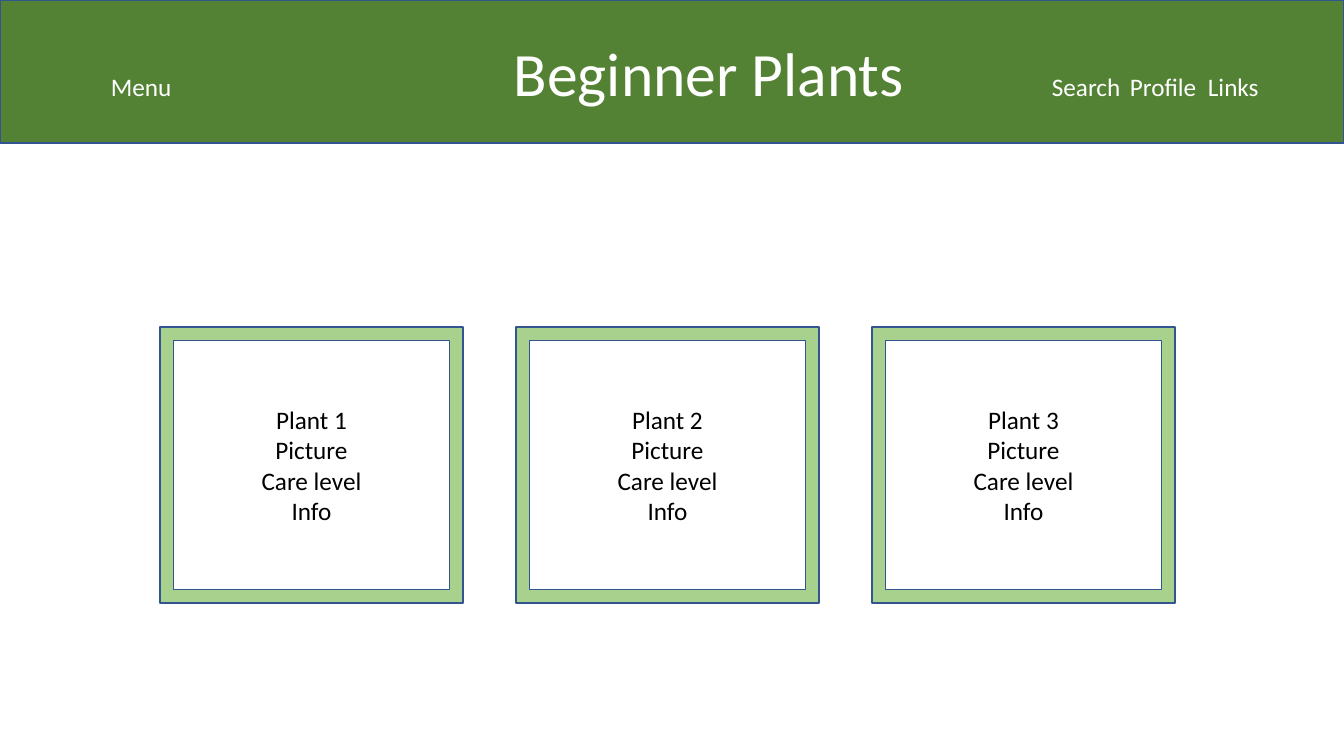
from dataclasses import dataclass

from lxml import etree
from pptx import Presentation
from pptx.dml.color import RGBColor
from pptx.enum.shapes import MSO_SHAPE
from pptx.enum.text import MSO_ANCHOR, PP_ALIGN
from pptx.oxml.ns import qn
from pptx.util import Emu, Pt

FRAME, RECT = MSO_SHAPE.FRAME, MSO_SHAPE.RECTANGLE
CENTER, JUSTIFY = PP_ALIGN.CENTER, PP_ALIGN.JUSTIFY
MIDDLE = MSO_ANCHOR.MIDDLE
SCALE = 914400 / 100.8


def px(n):
    return Emu(round(n * SCALE))


@dataclass(frozen=True)
class Theme:
    font: str = "Calibri"
    body: int = 18
    title: int = 44
    line: str = "325491"
    line_width: int = 1
    header: str = "548235"
    card: str = "A9D18E"
    light: str = "FFFFFF"
    dark: str = "000000"


class SlideBuilder:
    """Draws themed elements on the current slide, in pixel units."""

    def __init__(self, slide, theme):
        self.s, self.theme = slide, theme

    def shape(self, kind, box, fill):
        sp = self.s.shapes.add_shape(kind, *map(px, box))
        sp.shadow.inherit = False
        sp.fill.solid()
        sp.fill.fore_color.rgb = RGBColor.from_string(fill)
        sp.line.color.rgb = RGBColor.from_string(self.theme.line)
        sp.line.width = Pt(self.theme.line_width)
        sp.text_frame.word_wrap = True
        sp.text_frame.vertical_anchor = MIDDLE
        return sp

    def style(self, p, color, align):
        p.alignment = align
        p.font.name = self.theme.font
        p.font.size = Pt(self.theme.body)
        p.font.color.rgb = RGBColor.from_string(color)

    def card(self, box, lines):
        sp = self.shape(FRAME, box, self.theme.card)
        sp.adjustments[0] = 0.049
        tf = sp.text_frame
        tf.text = "\n".join(lines)
        for p in tf.paragraphs:
            self.style(p, self.theme.dark, CENTER)

    def header(self, box, items, title):
        sp = self.shape(RECT, box, self.theme.header)
        p = sp.text_frame.paragraphs[0]
        self.style(p, self.theme.light, JUSTIFY)
        tabs = etree.Element(qn("a:tabLst"))
        for text, stop in items:
            etree.SubElement(tabs, qn("a:tab"), pos=str(px(stop)), algn="l")
            r = p.add_run()
            r.text = "\t" + text
            if text == title:
                r.font.size = Pt(self.theme.title)
        p._p.get_or_add_pPr().find(qn("a:defRPr")).addprevious(tabs)


CARD_LEFT, CARD_TOP, CARD_W, CARD_H, CARD_STEP = 160, 327, 303, 276, 356
TITLE = "Beginner Plants"
HEADER_ITEMS = [("Menu", 101), (TITLE, 504), ("Search", 1042),
                ("Profile", 1120), ("Links", 1198)]

prs = Presentation()
prs.slide_width, prs.slide_height = px(1344), px(756)
s = SlideBuilder(prs.slides.add_slide(prs.slide_layouts[6]), Theme())

for i in range(3):
    box = (CARD_LEFT + i * CARD_STEP, CARD_TOP, CARD_W, CARD_H)
    s.card(box, [f"Plant {i + 1}", "Picture", "Care level", "Info"])
s.header((0, 0, 1344, 143), HEADER_ITEMS, TITLE)

prs.save("out.pptx")
